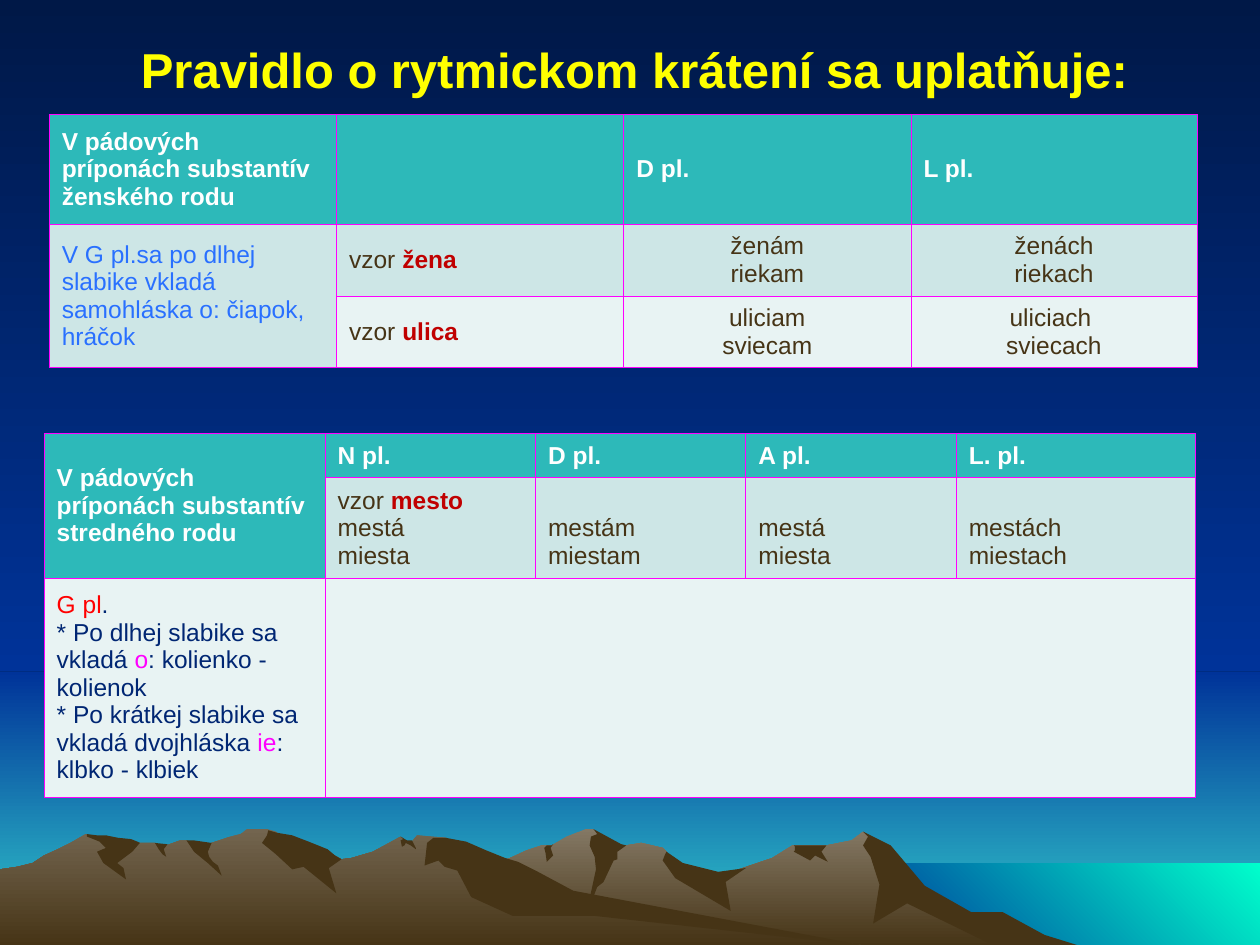
from lxml import etree
from pptx import Presentation
from pptx.dml.color import RGBColor
from pptx.enum.shapes import MSO_SHAPE
from pptx.enum.text import MSO_ANCHOR, PP_ALIGN
from pptx.oxml.ns import qn
from pptx.util import Inches, Pt

RECTANGLE = MSO_SHAPE.RECTANGLE
MIDDLE = MSO_ANCHOR.MIDDLE
LEFT, CENTER = PP_ALIGN.LEFT, PP_ALIGN.CENTER

GRID = Inches(0.01)  # all positions are counted in hundredths of an inch
ROCK, RED, PINK, NAVY, BLUE = "463416", "C00000", "FF00FF", "002673", "2970FF"
ROW_FILLS = ["2DB9B9", "CDE6E6", "E8F3F3"]
DOWN, UP_RIGHT = 270, 45


def paint(fill, colors, angle=DOWN):
    """Fill with one colour, or with a gradient between two."""
    if len(colors) == 1:
        fill.solid()
        fill.fore_color.rgb = RGBColor.from_string(colors[0])
        return
    fill.gradient()
    fill.gradient_angle = angle
    for stop, color in zip(fill.gradient_stops, colors):
        stop.color.rgb = RGBColor.from_string(color)


def write(text_frame, paragraphs, size, color, bold, alignment):
    """Write paragraphs made of plain strings and (text, colour, bold) runs."""
    for index, runs in enumerate(paragraphs):
        paragraph = text_frame.paragraphs[0] if index == 0 else text_frame.add_paragraph()
        paragraph.alignment = alignment
        paragraph.font.name = "Arial"
        paragraph.font.size = Pt(size)
        paragraph.font.bold = bold
        paragraph.font.color.rgb = RGBColor.from_string(color)
        for part in [runs] if isinstance(runs, str) else runs:
            run = paragraph.add_run()
            if isinstance(part, str):
                run.text = part
            else:
                run.text, run_color, run.font.bold = part
                run.font.color.rgb = RGBColor.from_string(run_color)


presentation = Presentation()
presentation.slide_width, presentation.slide_height = 1000 * GRID, 750 * GRID
slide = presentation.slides.add_slide(presentation.slide_layouts[6])
shapes = slide.shapes
NIGHT = ["001847", "003399"]
paint(slide.background.fill, NIGHT)

# Sky and sea
for box, colors, angle in [
    ((0, 533, 1000, 217), ["003399", "33CCCC"], DOWN),
    ((0, 0, 1000, 533), NIGHT, DOWN),
    ((683, 685, 317, 65), ["003399", "00FFCC"], UP_RIGHT),
]:
    shape = shapes.add_shape(RECTANGLE, *(GRID * length for length in box))
    shape.shadow.inherit = False
    shape.line.fill.background()
    paint(shape.fill, colors, angle)

# Mountains: a lit range, then the shaded faces on it
RIGHT_RANGE = """802,740 778,727 764,723 723,698 702,671 685,660 676,667 656,671 629,671
    613,681 566,697 536,690 529,676 526,673 509,669 497,671 486,673 474,661 471,658 465,658
    450,664 438,671 430,671 418,675 405,681 394,685 355,698 327,709 277,739 258,751 821,751"""
RIGHT_SHADES = [
    """796,724 771,724 734,703 707,671 685,660 689,664 685,671 691,680 698,702 693,733
    720,717 792,752 858,751 829,742""",
    """471,658 474,662 469,664 468,671 472,680 473,690 465,727 474,704 479,700 487,683
    490,682 490,676 497,671 493,670""",
    "529,676 528,678 526,683 536,697 580,723 576,700 592,689 570,692 542,685",
    "650,671 630,671 631,672 631,675 630,676 643,683 647,679 657,684 652,676 656,671",
    "433,677 432,673 434,671 438,671 439,670 437,673 439,679 434,684",
]
LEFT_RANGE = """690,751 667,748 432,712 354,665 331,663 327,668 323,668 318,664 296,676
    279,681 271,682 260,676 236,681 223,663 219,660 212,658 196,658 191,662 183,664 168,669
    160,671 148,667 143,667 132,671 128,671 123,669 111,669 94,671 68,662 56,669 46,674
    35,679 26,685 14,688 0,690 0,751"""
LEFT_SHADES = [
    """212,663 208,669 219,678 232,690 241,688 267,709 261,689 271,682 266,679 260,674
    245,668 232,663 220,661 213,659""",
    """370,668 354,665 344,665 339,669 337,687 348,683 353,688 363,691 374,712 407,727
    472,727 690,751 683,750 455,707 427,692 411,684 401,681 386,675""",
    """318,667 320,666 318,664 323,667 327,667 330,673 330,674 326,671 322,669 321,671
    319,672""",
    "154,667 161,668 168,669 165,676 166,680 169,684 173,687 176,695 165,685 154,676 148,667",
    "133,670 130,674 132,680 129,678 126,674 123,669",
    """109,668 111,669 105,676 93,685 98,689 100,698 82,685 77,676 84,673 79,668 69,664
    69,662 77,663 84,663 94,665 104,666""",
]
mountains = [(RIGHT_RANGE, ["847864", ROCK])]
mountains += [(outline, [ROCK]) for outline in RIGHT_SHADES]
mountains += [(LEFT_RANGE, ["73654F", ROCK])]
mountains += [(outline, [ROCK]) for outline in LEFT_SHADES]
for outline, colors in mountains:
    points = [tuple(map(int, pair.split(","))) for pair in outline.split()]
    builder = shapes.build_freeform(*points[0], scale=GRID)
    builder.add_line_segments(points[1:], close=True)
    shape = builder.convert_to_shape()
    shape.shadow.inherit = False
    shape.line.fill.background()
    paint(shape.fill, colors)

# Title
title = shapes.add_textbox(50 * GRID, 25 * GRID, 907 * GRID, 59 * GRID).text_frame
title.word_wrap = True
title.vertical_anchor = MIDDLE
write(title, ["Pravidlo o rytmickom krátení sa uplatňuje:"], 28, "FFFF00", True, CENTER)

# Tables
feminine_rows = [
    [["V pádových príponách substantív ženského rodu"], [], ["D pl."], ["L pl."]],
    [[[("V G pl.sa po dlhej slabike vkladá samohláska o: čiapok, hráčok", BLUE, False)]],
     [["vzor ", ("žena", RED, True)]], ["ženám", "riekam"], ["ženách", "riekach"]],
    [[], [["vzor ", ("ulica", RED, True)]], ["uliciam", "sviecam"], ["uliciach ", "sviecach"]],
]
neuter_rows = [
    [["V pádových príponách substantív stredného rodu"],
     ["N pl."], ["D pl."], ["A pl."], ["L. pl."]],
    [[], [["vzor ", ("mesto", RED, True)], "mestá", "miesta"],
     ["mestám", "miestam"], ["mestá", "miesta"], ["mestách", "miestach"]],
    [[[("G pl", "FF0000", False), "."],
      ["* Po dlhej slabike sa vkladá ", ("o", PINK, False), ": kolienko - kolienok"],
      ["* Po krátkej slabike sa vkladá dvojhláska ", ("ie", PINK, False), ": klbko - klbiek"]],
     [], [], [], []],
]
tables = []
for left, top, widths, heights, rows, last_color, first_centered, merges in [
    (39, 91, [228, 228, 228, 227], [87, 57, 57], feminine_rows, ROCK, 2, [(1, 0, 2, 0)]),
    (35, 344, [223, 167, 167, 167, 190], [35, 80, 173], neuter_rows, NAVY, 5,
     [(0, 0, 1, 0), (2, 1, 2, 4)]),
]:
    table = shapes.add_table(len(heights), len(widths), left * GRID, top * GRID,
                             sum(widths) * GRID, sum(heights) * GRID).table
    tables.append(table)
    for column, width in zip(table.columns, widths):
        column.width = width * GRID
    for row, height in zip(table.rows, heights):
        row.height = height * GRID
    text_colors = ["FFFFFF", ROCK, last_color]
    for row_index, row in enumerate(rows):
        for column_index, paragraphs in enumerate(row):
            cell = table.cell(row_index, column_index)
            cell.vertical_anchor = MIDDLE
            properties = cell._tc.get_or_add_tcPr()
            for side in ("lnL", "lnR", "lnT", "lnB"):
                border = etree.SubElement(properties, qn(f"a:{side}"), w=str(Pt(0.45)))
                border_fill = etree.SubElement(border, qn("a:solidFill"))
                etree.SubElement(border_fill, qn("a:srgbClr"), val=PINK)
            paint(cell.fill, [ROW_FILLS[row_index]])
            centered = row_index > 0 and column_index >= first_centered
            write(cell.text_frame, paragraphs, 14, text_colors[row_index],
                  row_index == 0, CENTER if centered else LEFT)
    for first_row, first_column, last_row, last_column in merges:
        table.cell(first_row, first_column).merge(table.cell(last_row, last_column))

# Neuter forms stand one line lower, level with those under "vzor mesto"
for column_index in (2, 3, 4):
    tables[1].cell(1, column_index).margin_top = 27 * GRID

presentation.save("out.pptx")
